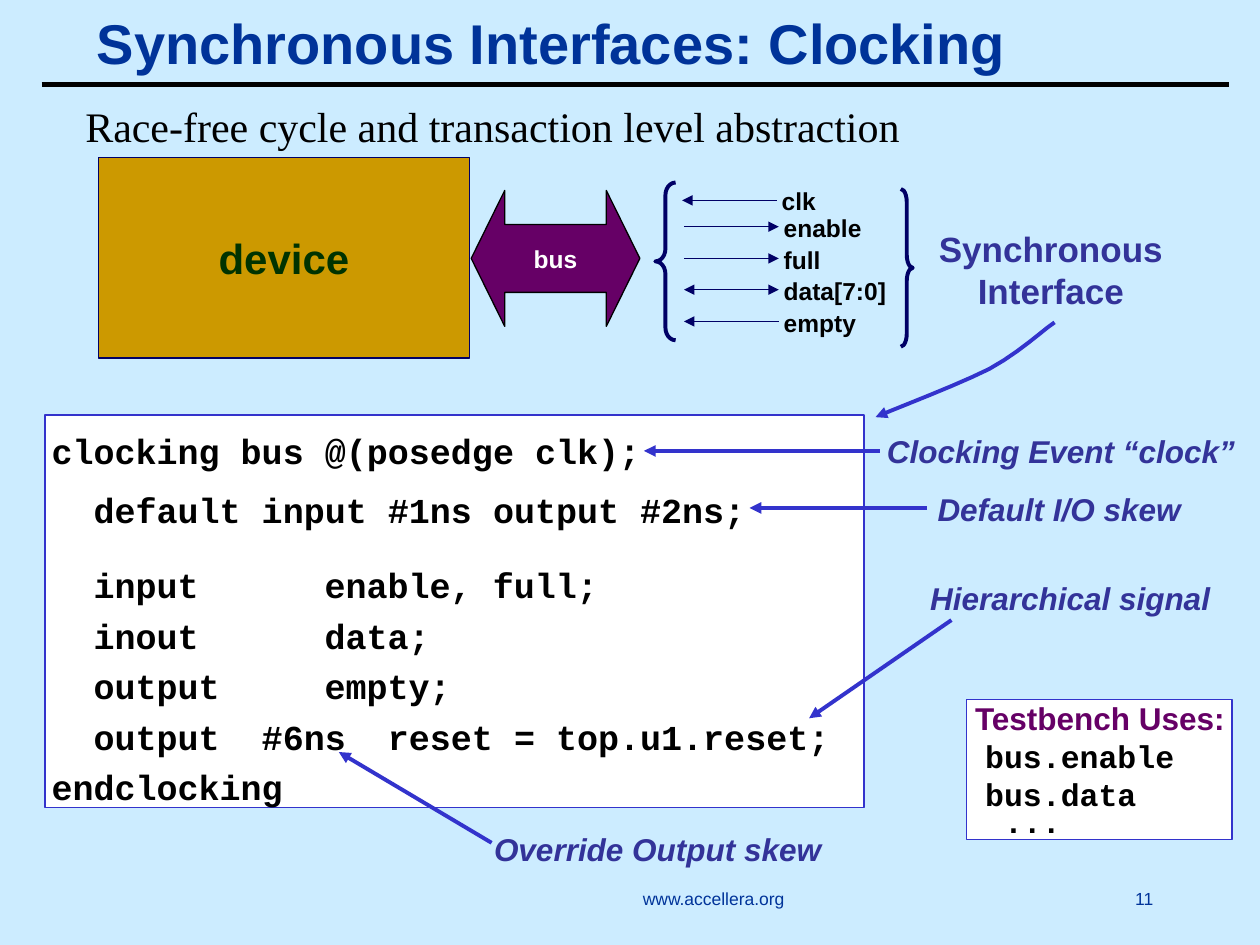
from lxml import etree
from pptx import Presentation
from pptx import util as u
from pptx.dml.color import RGBColor
from pptx.enum import shapes, text
from pptx.oxml.ns import qn

NAVY, BLUE, INDIGO, PURPLE = "000066", "3333CC", "333399", "660066"
BLACK, WHITE, TITLE = "000000", "FFFFFF", "003399"
LEFT, CENTER, RIGHT = text.PP_ALIGN.LEFT, text.PP_ALIGN.CENTER, text.PP_ALIGN.RIGHT
TOP, MIDDLE = text.MSO_ANCHOR.TOP, text.MSO_ANCHOR.MIDDLE
PAD = (0.25, 0.13)


def rgb(value):
    return RGBColor.from_string(value)


def font(size, color=BLACK, name="Arial", bold=True, italic=False):
    return dict(size=u.Pt(size), name=name, bold=bold, italic=italic, color=color)


def write(sp, lines, fmt, align=LEFT, anchor=TOP, pad=(0, 0), wrap=True):
    """Fill a shape; each line is a text or (text, line spacing, format)."""
    tf = sp.text_frame
    frame = dict(word_wrap=wrap, vertical_anchor=anchor, auto_size=text.MSO_AUTO_SIZE.NONE,
                 margin_left=u.Cm(pad[0]), margin_right=u.Cm(pad[0]),
                 margin_top=u.Cm(pad[1]), margin_bottom=u.Cm(pad[1]))
    for key, value in frame.items():
        setattr(tf, key, value)
    for i, line in enumerate(lines):
        content, spacing, own = line if isinstance(line, tuple) else (line, 1.0, fmt)
        p = tf.paragraphs[0] if i == 0 else tf.add_paragraph()
        p.alignment, p.line_spacing, p.space_before = align, spacing, u.Pt(0)
        r = p.add_run()
        r.text = content
        for key, value in own.items():
            if key == "color":
                r.font.color.rgb = rgb(value)
            else:
                setattr(r.font, key, value)


def add_text(s, box, lines, fmt, **frame):
    write(s.shapes.add_textbox(*map(u.Cm, box)), lines, fmt, **frame)


def style_line(line, color, width, ends=()):
    line.color.rgb = rgb(color)
    line.width = u.Pt(width)
    for end in ends:
        etree.SubElement(line._get_or_add_ln(), qn(f"a:{end}"), type="triangle")


def add_shape(s, kind, box, color, width, fill=None, adjust=()):
    sp = s.shapes.add_shape(kind, *map(u.Cm, box))
    sp.shadow.inherit = False
    if fill:
        sp.fill.solid()
        sp.fill.fore_color.rgb = rgb(fill)
    else:
        sp.fill.background()
    style_line(sp.line, color, width)
    for i, value in enumerate(adjust):
        sp.adjustments[i] = value
    return sp


def add_line(s, x1, y1, x2, y2, color, width, ends=()):
    cn = s.shapes.add_connector(shapes.MSO_CONNECTOR.STRAIGHT, *map(u.Cm, (x1, y1, x2, y2)))
    style_line(cn.line, color, width, ends)
    etree.SubElement(cn._element.spPr, qn("a:effectLst"))


def bezier(points, steps=6):
    """Points along a chain of cubic curves, after the first point."""
    for k in range(0, len(points) - 1, 3):
        for t in (n / steps for n in range(1, steps + 1)):
            weights = ((1 - t) ** 3, 3 * t * (1 - t) ** 2, 3 * t * t * (1 - t), t ** 3)
            yield tuple(sum(w * p[axis] for w, p in zip(weights, points[k:k + 4]))
                        for axis in (0, 1))


def header(s, x, y):
    title = s.shapes.title
    for key, value in dict(left=x + 0.86, top=y, width=22.66, height=1.7).items():
        setattr(title, key, u.Cm(value))
    write(title, ["Synchronous Interfaces: Clocking"], font(32, TITLE), anchor=MIDDLE, pad=PAD)
    add_line(s, x, y + 1.7, x + 23.93, y + 1.7, BLACK, 3)
    add_text(s, (x + 0.63, y + 1.9, 16.94, 1.27),
             ["Race-free cycle and transaction level abstraction"],
             font(24, name="Times New Roman", bold=False), pad=PAD, wrap=False)


def interface_diagram(s, x, y):
    kinds = shapes.MSO_SHAPE
    # Device and bus
    device = add_shape(s, kinds.RECTANGLE, (x, y, 7.49, 4.04), NAVY, 0.75, "CC9900")
    write(device, ["device"], font(24, "003300"), CENTER, MIDDLE, PAD, False)
    bus = add_shape(s, kinds.LEFT_RIGHT_ARROW, (x + 7.52, y + 0.66, 3.4, 2.74),
                    BLACK, 0.75, PURPLE, (0.5, 0.247))
    write(bus, ["bus"], font(14, WHITE), CENTER, MIDDLE, PAD, False)
    # Signals between braces
    add_shape(s, kinds.LEFT_BRACE, (x + 11.23, y + 0.5, 0.41, 3.18), NAVY, 2.25, adjust=(0.62,))
    add_shape(s, kinds.RIGHT_BRACE, (x + 16.18, y + 0.63, 0.24, 3.18), NAVY, 2.25, adjust=(1.1,))
    signals = [("clk", 0.86, -0.04, ["headEnd"]),
               ("enable", 1.39, 0, ["tailEnd"]),
               ("full", 2.03, 0, ["tailEnd"]),
               ("data[7:0]", 2.66, 0, ["headEnd", "tailEnd"]),
               ("empty", 3.3, 0, ["headEnd"])]
    for name, dy, dx, ends in signals:
        add_line(s, x + 11.81 + dx, y + dy, x + 13.72 + dx, y + dy, NAVY, 0.75, ends)
        add_text(s, (x + 13.82 + dx, y + dy - 0.28, 2.1, 0.58), [name], font(14))
    add_text(s, (x + 16.69, y + 1.27, 5.03, 1.96), ["Synchronous", "Interface"],
             font(20, INDIGO), align=CENTER, pad=PAD, wrap=False)


def code_panel(s, x, y):
    code = font(20, name="Courier New")
    lines = [("clocking bus @(posedge clk);", 1.2),
             ("  default input #1ns output #2ns;", 1.4),
             ("  input\t    enable, full;", 1.8),
             ("  inout\t    data;", 1.2),
             ("  output\t    empty;", 1.2),
             ("  output  #6ns  reset = top.u1.reset;", 1.2),
             ("endclocking", 1.2)]
    panel = add_shape(s, shapes.MSO_SHAPE.RECTANGLE, (x, y, 16.51, 7.92), BLUE, 1, WHITE)
    write(panel, [(*line, code) for line in lines], code, pad=(0.13, 0.13))
    # Curved arrow from the interface label
    curve = [(20.35, -1.86), (20.12, -1.71), (19.64, -1.25), (19.03, -0.92),
             (18.42, -0.61), (17.23, -0.16), (16.74, 0.05)]
    curve = [(u.Cm(x + px), u.Cm(y + py)) for px, py in curve]
    builder = s.shapes.build_freeform(*curve[0])
    builder.add_line_segments(list(bezier(curve)), close=False)
    arrow = builder.convert_to_shape()
    arrow.shadow.inherit = False
    arrow.fill.background()
    style_line(arrow.line, BLUE, 2.25, ["tailEnd"])
    # Callouts: text, its left, top and width, then the arrow
    callouts = [
        ("Clocking Event “clock”", 16.95, 0.35, 7.06, CENTER, (16.82, 0.73, 12.07, 0.73)),
        ("Default I/O skew", 17.99, 1.52, 5.69, LEFT, (17.78, 1.88, 14.2, 1.88)),
        ("Hierarchical signal", 17.84, 3.32, 5.92, LEFT, (18.27, 4.14, 15.4, 6.12)),
        ("Override Output skew", 9.05, 8.38, 6.86, LEFT, (9, 8.63, 5.92, 6.8))]
    for label, dx, dy, w, align, (x1, y1, x2, y2) in callouts:
        add_text(s, (x + dx, y + dy, w, 0.76), [label], font(18, INDIGO, italic=True), align=align)
        add_line(s, x + x1, y + y1, x + x2, y + y2, BLUE, 2.25, ["tailEnd"])


def testbench_box(s, x, y):
    code = font(18, name="Courier New")
    sp = add_shape(s, shapes.MSO_SHAPE.RECTANGLE, (x, y, 5.36, 2.82), BLUE, 0.75, WHITE)
    write(sp, [(" Testbench Uses:", 1.0, font(18, PURPLE)), " bus.enable", " bus.data",
               ("  ...", 0.7, code)], code)


def footer(s, x, y):
    small = font(10, TITLE, bold=False)
    add_text(s, (x, y, 8.05, 0.64), ["www.accellera.org"], small, align=CENTER, pad=PAD)
    add_text(s, (x + 10.6, y, 2.54, 0.64), ["11"], small, align=RIGHT, pad=PAD)


def main():
    prs = Presentation()
    prs.slide_width, prs.slide_height = u.Cm(25.4), u.Cm(19.05)
    s = prs.slides.add_slide(prs.slide_layouts[5])
    s.background.fill.solid()
    s.background.fill.fore_color.rgb = rgb("CCECFF")
    header(s, 0.84, 0)
    interface_diagram(s, 1.98, 3.18)
    code_panel(s, 0.91, 8.36)
    testbench_box(s, 19.48, 14.1)
    footer(s, 10.36, 17.78)
    prs.save("out.pptx")


if __name__ == "__main__":
    main()
